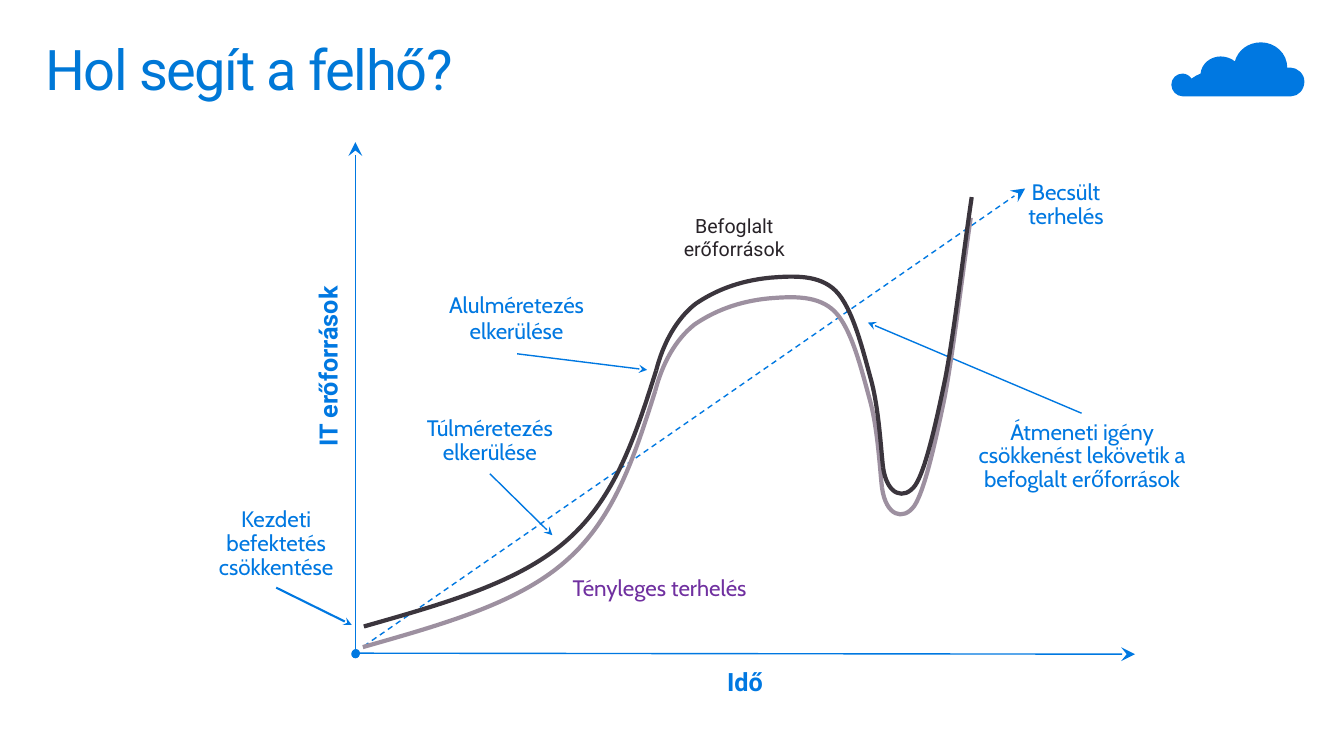
import pptx
import pptx.util
import pptx.dml.color
import pptx.enum.dml
import pptx.enum.shapes
import pptx.enum.text
import pptx.oxml.ns
import lxml.etree

RGBColor = pptx.dml.color.RGBColor
Pt = pptx.util.Pt
ALIGN = pptx.enum.text.PP_ALIGN
ANCHOR = pptx.enum.text.MSO_ANCHOR
qn = pptx.oxml.ns.qn

BLUE = RGBColor(0x00, 0x78, 0xE1)
TITLE_BLUE = RGBColor(0x00, 0x78, 0xD7)
PURPLE = RGBColor(0x70, 0x30, 0xA0)
DARK = RGBColor(0x28, 0x23, 0x28)
ACTUAL_GREY = RGBColor(0x9D, 0x90, 0xA0)
RESERVED_GREY = RGBColor(0x3B, 0x35, 0x3D)

# The slide is a grid of square cells, ten to the inch; boxes are left, top, width, height
COLS, ROWS = 133.33, 75
TITLE_BOX = (2.9, 3.2, 127.5, 9.8)
CLOUD_BOX = (116.2, 4.2, 13.2, 5.4)
PLOT_BOX = (35.3, 14.1, 77.3, 50.8)

# Curves: a start point, then two control points and an end point for each segment
CLOUD = [
    (11.8, 2.5), (11.7, 2.5), (11.6, 2.5), (11.5, 2.5), (11.5, 1.1), (10.3, 0), (8.9, 0),
    (7.6, 0), (6.6, 0.8), (6.3, 1.9), (6, 1.6), (5.4, 1.4), (4.9, 1.4),
    (3.9, 1.4), (3, 2.1), (2.9, 3.1), (2.6, 3.2), (2.3, 3.4), (2, 3.6),
    (1.8, 3.3), (1.5, 3.1), (1.1, 3.1), (0.5, 3.1), (0, 3.6), (0, 4.2),
    (0, 4.8), (0.5, 5.35), (1.1, 5.35), (5, 5.35), (8, 5.35), (11.9, 5.35),
    (12.6, 5.35), (13.2, 4.7), (13.2, 3.9), (13.2, 3.1), (12.5, 2.5), (11.8, 2.5),
]
FALL = [(41, 15.5), (43.4, 15.3), (45.9, 15.2), (47.5, 16.8), (49.2, 18.5), (50.2, 22.7),
        (51, 25.6), (51.8, 28.5), (52, 32.7), (52.2, 34.3)]
DIP = [(52.2, 34.3), (52.6, 37.1), (54.3, 37.6), (55.4, 36.1), (56.4, 34.6), (57.4, 30.2),
       (58.4, 25.4), (59.3, 20.6), (60.1, 13.6), (61, 7.5)]
RISE = [(0.7, 50.1), (8.4, 47.9), (16.1, 45.8), (20.9, 41.5), (25.7, 37.3), (27.7, 31),
        (29.7, 24.7)]
SHOULDER = [(29.7, 24.7), (30.4, 22), (31.7, 19.6), (33.6, 18.1), (35.5, 16.8), (37.9, 15.8),
            (41, 15.5)]
RESERVE = (0.1, -2.05)  # reserved capacity runs this far from the actual load

# Text, box within the plot, size, font, colour, line spacing in points, corner rounding
LABELS = [
    ("Tényleges terhelés", (20.3, 42.2, 19.7, 4.1), 16, "Cabin", PURPLE, None, 0.167),
    ("Befoglalt erőforrások", (30.5, 6.3, 14.1, 6.3), 14, "Roboto", DARK, None, 0.167),
    ("Kezdeti befektetés csökkentése", (-14.6, 35.6, 13.4, 8.6), 16, "Cabin", BLUE, 17, 0.104),
    ("Túlméretezés elkerülése", (5.9, 26.5, 14.8, 6.4), 16, "Cabin", BLUE, 17, 0.167),
    ("Alulméretezés elkerülése", (4.8, 13.9, 22.3, 7.1), 16, "Cabin", BLUE, None, 0.167),
    ("Átmeneti igény csökkenést lekövetik a befoglalt erőforrások",
     (60.6, 26.9, 22.9, 8.6), 16, "Cabin", BLUE, 17, 0.099),
]
# From, to, width
POINTERS = [
    ((13.3, 32.9), (19.5, 39), 1),
    ((16, 21), (28.9, 22.6), 1),
    ((72, 26.9), (50.8, 17.9), 1),
    ((-7.9, 44.2), (-0.4, 47.9), 1.5),
]


def cells(n):
    return pptx.util.Inches(n / 10)


def within(box, part):
    return (box[0] + part[0], box[1] + part[1]) + tuple(part[2:])


def set_text(sp, text, size, font, color, align=ALIGN.CENTER, spacing=None,
             bold=None, inset=(1, 0.5), wrap=True, anchor=ANCHOR.TOP):
    tf = sp.text_frame
    tf.word_wrap = wrap
    tf.vertical_anchor = anchor
    tf.margin_left = tf.margin_right = cells(inset[0])
    tf.margin_top = tf.margin_bottom = cells(inset[1])
    p = tf.paragraphs[0]
    p.text = text
    p.alignment = align
    if spacing:
        p.line_spacing = spacing
    p.font.size, p.font.name, p.font.bold = Pt(size), font, bold
    p.font.color.rgb = color


def add_textbox(s, box, *args, **kwargs):
    sp = s.shapes.add_textbox(*map(cells, box))
    set_text(sp, *args, **kwargs)
    return sp


def add_label(s, box, text, size, font, color, spacing, rounding):
    sp = s.shapes.add_shape(pptx.enum.shapes.MSO_SHAPE.ROUNDED_RECTANGLE, *map(cells, box))
    sp.adjustments[0] = rounding
    sp.shadow.inherit = False
    sp.fill.background()
    sp.line.fill.background()
    set_text(sp, text, size, font, color, spacing=Pt(spacing) if spacing else None,
             inset=(0, 0.5))
    return sp


def add_curve(parent, box, points, closed=False):
    start, *rest = [tuple(map(cells, within(box, point))) for point in points]
    builder = parent.shapes.build_freeform(*start)
    builder.add_line_segments(rest, close=closed)
    sp = builder.convert_to_shape()
    sp.shadow.inherit = False
    # Each three straight steps become one cubic segment
    steps = list(sp._element.iter(qn("a:lnTo")))
    for i in range(0, len(steps), 3):
        cubic = lxml.etree.Element(qn("a:cubicBezTo"))
        steps[i].addprevious(cubic)
        for step in steps[i:i + 3]:
            cubic.append(step[0])
            step.getparent().remove(step)
    return sp


def add_arrow(s, box, start, end, width=1, dashed=False, dot=False, large=False):
    ends = within(box, start) + within(box, end)
    line = s.shapes.add_connector(pptx.enum.shapes.MSO_CONNECTOR.STRAIGHT, *map(cells, ends))
    line.line.color.rgb = BLUE
    line.line.width = Pt(width)
    if dashed:
        line.line.dash_style = pptx.enum.dml.MSO_LINE.DASH
    ln = line.line._get_or_add_ln()
    if dot:
        lxml.etree.SubElement(ln, qn("a:headEnd"), type="oval")
    size = {"w": "lg", "len": "lg"} if large else {}
    lxml.etree.SubElement(ln, qn("a:tailEnd"), type="stealth", **size)
    lxml.etree.SubElement(line._element.spPr, qn("a:effectLst"))


def add_title(s, box):
    sp = add_textbox(s, box, "Hol segít a felhő?", 40, "Roboto", TITLE_BLUE,
                     align=ALIGN.LEFT, spacing=0.9, inset=(1.6, 1))
    r = sp.text_frame.paragraphs[0].runs[0]
    r._r.get_or_add_rPr().set("spc", "-100")


def add_cloud(s, box):
    sp = add_curve(s, box, CLOUD, closed=True)
    sp.fill.solid()
    sp.fill.fore_color.rgb = BLUE
    sp.line.fill.background()


def add_plot(s, box):
    width, height = box[2:]
    # Estimated load, labels and their pointers
    add_arrow(s, box, (0.8, 50), (66.4, 4.6), dashed=True, large=True)
    for text, part, *style in LABELS:
        add_label(s, within(box, part), text, *style)
    for start, end, weight in POINTERS:
        add_arrow(s, box, start, end, weight)
    # Actual load, then reserved capacity
    for offset, color in (((0, 0), ACTUAL_GREY), (RESERVE, RESERVED_GREY)):
        group = s.shapes.add_group_shape()
        for points in (FALL, DIP, RISE, SHOULDER):
            sp = add_curve(group, within(box, offset), points)
            sp.fill.background()
            sp.line.color.rgb = color
            sp.line.width = Pt(3)
    # Axes and their names
    for name, part, turn, start, end in (
            ("Idő", (31.2, 51.5, 14.8, 4), 0, (0, height - 0.1), (width, height)),
            ("IT erőforrások", (-12.4, 20.2, 19.3, 4.1), 270, (-0.04, height), (-0.04, 0))):
        sp = add_textbox(s, within(box, part), name, 18, "Roboto", BLUE, bold=True, wrap=False)
        sp.rotation = turn
        add_arrow(s, box, start, end, dot=True, large=True)
    add_textbox(s, within(box, (64.6, 3.4, 11.7, 5.8)), "Becsült terhelés", 16, "Cabin", BLUE,
                spacing=Pt(17))


def main():
    prs = pptx.Presentation()
    prs.slide_width, prs.slide_height = cells(COLS), cells(ROWS)
    s = prs.slides.add_slide(prs.slide_layouts[6])
    add_cloud(s, CLOUD_BOX)
    add_plot(s, PLOT_BOX)
    add_title(s, TITLE_BOX)
    prs.save("out.pptx")


if __name__ == "__main__":
    main()
